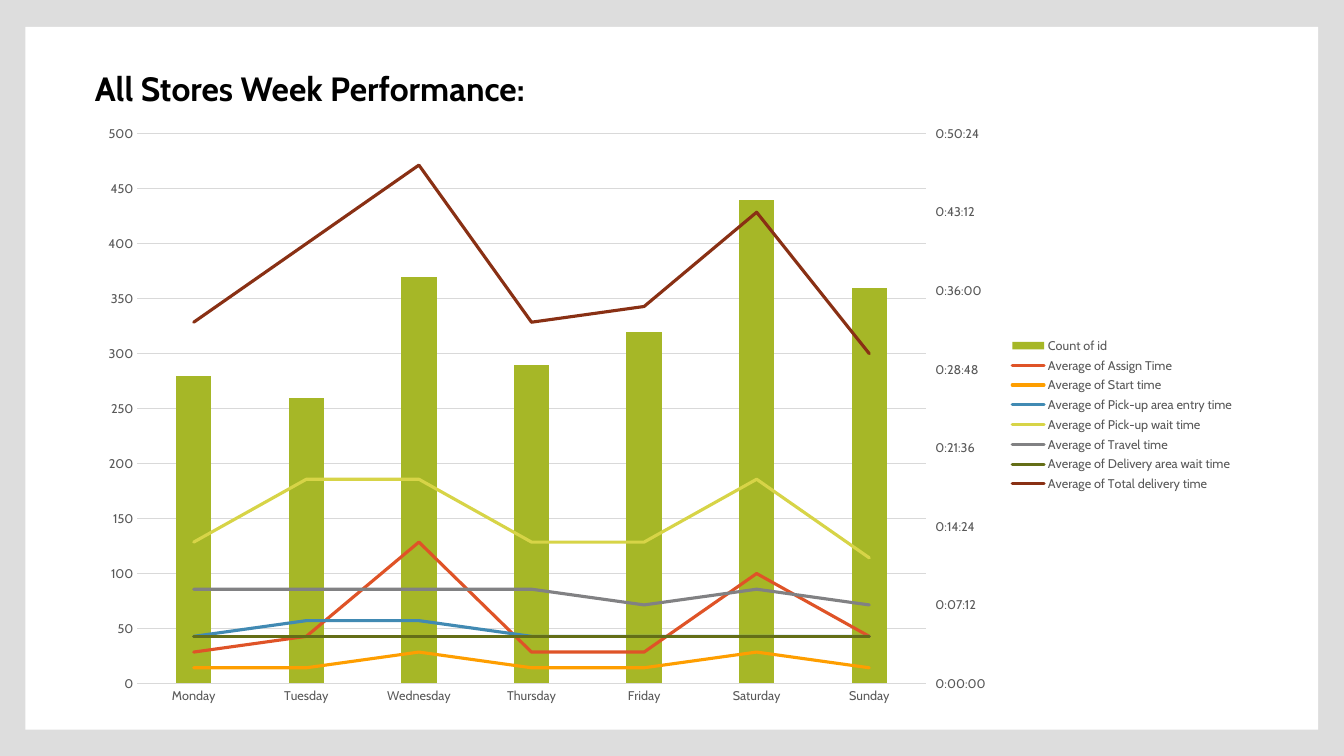
from copy import deepcopy
from dataclasses import dataclass

from lxml import etree
from pptx import Presentation
from pptx.chart.axis import CategoryAxis, ValueAxis
from pptx.chart.data import CategoryChartData
from pptx.dml.color import RGBColor
from pptx.enum.chart import XL_CHART_TYPE as ChartType
from pptx.enum.chart import XL_LEGEND_POSITION as LegendPosition
from pptx.enum.chart import XL_MARKER_STYLE as MarkerStyle
from pptx.enum.chart import XL_TICK_MARK as TickMark
from pptx.enum.shapes import MSO_SHAPE as Preset
from pptx.enum.text import MSO_ANCHOR as Anchor
from pptx.enum.text import MSO_AUTO_SIZE as AutoSize
from pptx.enum.text import PP_ALIGN as Align
from pptx.oxml import parse_xml
from pptx.oxml.ns import nsdecls, qn
from pptx.util import Cm, Pt


@dataclass(frozen=True)
class Theme:
    font: str = "Cabin"
    title_size: int = 24
    chart_size: int = 10
    label_size: int = 9
    line_width: float = 2.25
    grid_width: float = 0.75
    background: str = "DDDDDD"
    panel: str = "FFFFFF"
    text: str = "000000"
    label: str = "595959"
    grid: str = "D9D9D9"


THEME = Theme()

# Content: order counts, and average times in thousandths of a day
TITLE = "All Stores Week Performance:"
DAYS = ["Monday", "Tuesday", "Wednesday", "Thursday", "Friday", "Saturday", "Sunday"]
COUNTS = ("Count of id", "A6B727", [280, 260, 370, 290, 320, 440, 360])
TIMES = [
    ("Average of Assign Time", "DF5327", [2, 3, 9, 2, 2, 7, 3]),
    ("Average of Start time", "FE9E00", [1, 1, 2, 1, 1, 2, 1]),
    ("Average of Pick-up area entry time", "418AB3", [3, 4, 4, 3, 3, 3, 3]),
    ("Average of Pick-up wait time", "D7D447", [9, 13, 13, 9, 9, 13, 8]),
    ("Average of Travel time", "818183", [6, 6, 6, 6, 5, 6, 5]),
    ("Average of Delivery area wait time", "646E17", [3, 3, 3, 3, 3, 3, 3]),
    ("Average of Total delivery time", "893014", [23, 28, 33, 23, 24, 30, 21]),
]
TIME_FORMAT = "h:mm:ss"

# Places: left, top, width, height
PANEL_BOX = [Cm(n) for n in (0.64, 0.68, 32.58, 17.71)]
TITLE_BOX = [Cm(n) for n in (2.14, 1.59, 11.38, 1.27)]
CHART_BOX = [Cm(n) for n in (2.15, 2.87, 29.21, 15.16)]
PLOT_SHARE = {"x": 0.045, "y": 0.033, "w": 0.68, "h": 0.914}


def paint(fill, color):
    fill.solid()
    fill.fore_color.rgb = RGBColor.from_string(color)


def set_font(font, size, color):
    font.name, font.size = THEME.font, Pt(size)
    font.color.rgb = RGBColor.from_string(color)


def set_line(line, color, width):
    paint(line.fill, color)
    line.width = Pt(width)


def set_scale(axis, maximum, step):
    axis.minimum_scale, axis.maximum_scale, axis.major_unit = 0, maximum, step


def chart_part(tag, **attributes):
    part = etree.Element(qn(f"c:{tag}"))
    for name, value in attributes.items():
        etree.SubElement(part, qn(f"c:{name}")).set("val", str(value))
    return part


def add_time_plot(plot_area):
    """Move the time series to a line plot on a second pair of axes."""
    bar_plot = plot_area.find(qn("c:barChart"))
    line_plot = parse_xml(f'<c:lineChart {nsdecls("c")}><c:grouping val="standard"/>'
                          '<c:varyColors val="0"/></c:lineChart>')
    for series in bar_plot.findall(qn("c:ser"))[1:]:
        inverted = series.find(qn("c:invertIfNegative"))
        if inverted is not None:
            series.remove(inverted)
        line_plot.append(series)
    bar_plot.addnext(line_plot)

    day_axis = deepcopy(plot_area.find(qn("c:catAx")))
    time_axis = deepcopy(plot_area.find(qn("c:valAx")))
    for axis, own, other in ((day_axis, "5001", "5002"), (time_axis, "5002", "5001")):
        axis.find(qn("c:axId")).set("val", own)
        axis.find(qn("c:crossAx")).set("val", other)
        etree.SubElement(line_plot, qn("c:axId")).set("val", own)
    time_axis.find(qn("c:axPos")).set("val", "r")
    time_axis.find(qn("c:crosses")).set("val", "max")
    plot_area.find(qn("c:valAx")).addnext(time_axis)
    time_axis.addnext(day_axis)

    CategoryAxis(day_axis).visible = False
    right_axis = ValueAxis(time_axis)
    right_axis.has_major_gridlines = False
    right_axis.major_tick_mark = TickMark.OUTSIDE
    set_scale(right_axis, 0.035, 0.005)
    right_axis.tick_labels.number_format = TIME_FORMAT
    right_axis.tick_labels.number_format_is_linked = False


def place_plot(plot_area):
    layout = plot_area.find(qn("c:layout"))
    if layout is not None:
        plot_area.remove(layout)
    layout = chart_part("layout")
    layout.append(chart_part("manualLayout", layoutTarget="inner", xMode="edge",
                             yMode="edge", **PLOT_SHARE))
    plot_area.insert(0, layout)


# Slide and white panel
presentation = Presentation()
presentation.slide_width, presentation.slide_height = Cm(33.87), Cm(19.05)
slide = presentation.slides.add_slide(presentation.slide_layouts[5])
paint(slide.background.fill, THEME.background)
panel = slide.shapes.add_shape(Preset.RECTANGLE, *PANEL_BOX)
panel.shadow.inherit = False
paint(panel.fill, THEME.panel)
panel.line.fill.background()
slide.shapes.element.insert(2, panel.element)

# Title
title = slide.shapes.title
title.left, title.top, title.width, title.height = TITLE_BOX
frame = title.text_frame
frame.text = TITLE
frame.word_wrap = False
frame.auto_size = AutoSize.SHAPE_TO_FIT_TEXT
frame.vertical_anchor = Anchor.TOP
paragraph = frame.paragraphs[0]
paragraph.alignment = Align.LEFT
paragraph.space_after = Pt(6)
paragraph.font.bold = True
set_font(paragraph.font, THEME.title_size, THEME.text)

# Chart data
data = CategoryChartData()
data.categories = DAYS
data.add_series(COUNTS[0], COUNTS[2])
for name, _, thousandths in TIMES:
    data.add_series(name, [value / 1000 for value in thousandths], TIME_FORMAT)
chart = slide.shapes.add_chart(ChartType.COLUMN_CLUSTERED, *CHART_BOX, data).chart
chart.has_title = False
set_font(chart.font, THEME.chart_size, THEME.text)

# Axes and legend
category_axis, value_axis = chart.category_axis, chart.value_axis
for axis in (category_axis, value_axis):
    axis.major_tick_mark = axis.minor_tick_mark = TickMark.NONE
    set_font(axis.tick_labels.font, THEME.label_size, THEME.label)
set_line(category_axis.format.line, THEME.grid, THEME.grid_width)
value_axis.format.line.fill.background()
value_axis.has_major_gridlines = True
set_line(value_axis.major_gridlines.format.line, THEME.grid, THEME.grid_width)
set_scale(value_axis, 500, 50)
chart.has_legend = True
chart.legend.position = LegendPosition.RIGHT
chart.legend.include_in_layout = False
set_font(chart.legend.font, THEME.label_size, THEME.label)

# Columns and round-capped lines
plot_area = chart.element.find(f".//{qn('c:plotArea')}")
add_time_plot(plot_area)
place_plot(plot_area)
columns, lines = chart.plots
columns.vary_by_categories = False
columns.gap_width, columns.overlap = 219, -27
paint(columns.series[0].format.fill, COUNTS[1])
for series, (_, color, _) in zip(lines.series, TIMES):
    series.smooth = False
    series.marker.style = MarkerStyle.NONE
    set_line(series.format.line, color, THEME.line_width)
for outline in plot_area.iterfind(f"{qn('c:lineChart')}/{qn('c:ser')}/{qn('c:spPr')}/{qn('a:ln')}"):
    outline.set("cap", "rnd")
    etree.SubElement(outline, qn("a:round"))

presentation.save("out.pptx")
